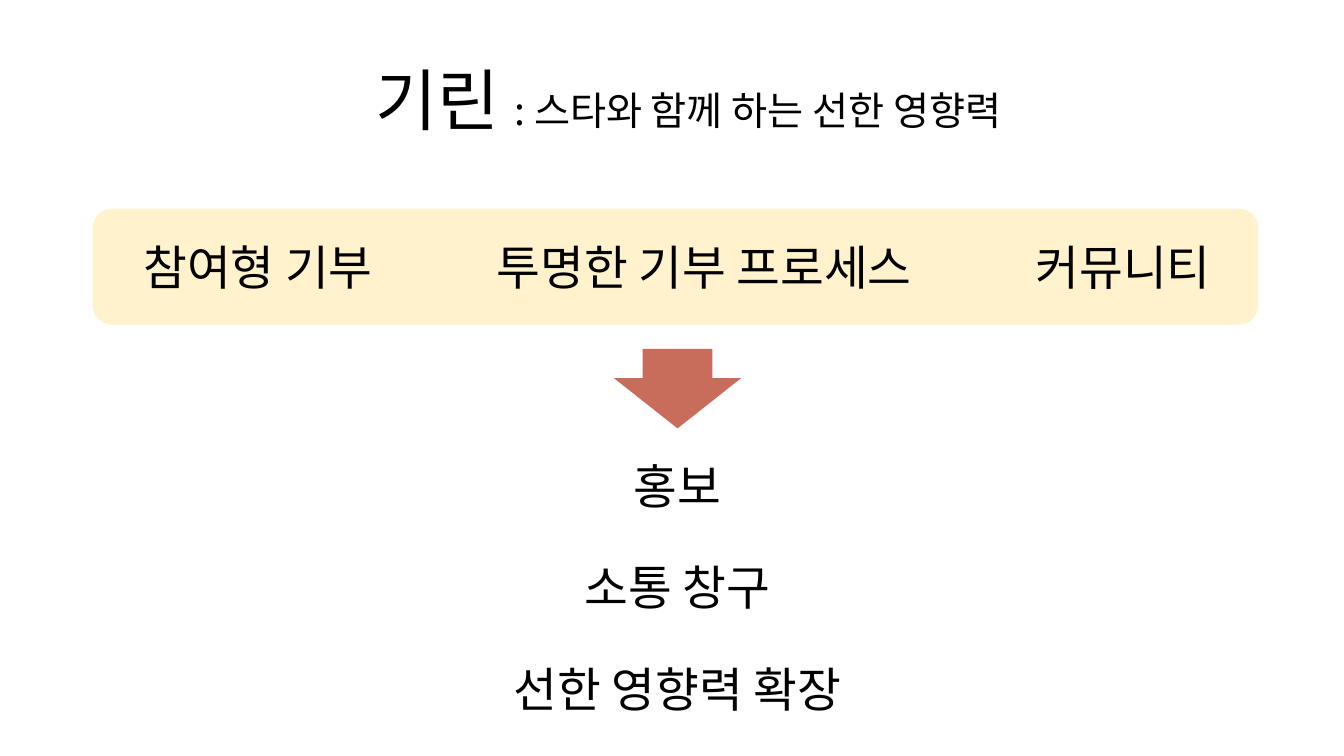
from lxml.etree import SubElement
from pptx import Presentation
from pptx.dml.color import RGBColor
from pptx.enum.shapes import MSO_SHAPE
from pptx.enum.text import MSO_ANCHOR, MSO_AUTO_SIZE, PP_ALIGN
from pptx.oxml.ns import qn
from pptx.util import Inches, Pt

FONT = "Noto Sans CJK KR"
COLORS = {"text": "000000", "band": "FFF2CC", "arrow": "C86D5C"}
TITLE = [("기린 ", 48), (": 스타와 함께 하는 선한 영향력", 28)]
# Text, left and width of each feature in the band
FEATURES = [
    ("참여형 기부", 1.23, 2.66),
    ("투명한 기부 프로세스", 4.65, 4.67),
    ("커뮤니티", 10.08, 2.12),
]
# Text and width of each effect below the arrow
EFFECTS = [("홍보", 1.12), ("소통 창구", 2.17), ("선한 영향력 확장", 3.68)]

BODY_SIZE = 34
LINE_HEIGHT = 0.67
BAND_LEFT, BAND_TOP, BAND_WIDTH, BAND_HEIGHT = 0.92, 2.07, 11.56, 1.15
CENTER = 6.72
EFFECT_TOP, EFFECT_PITCH = 4.48, 1.01


def write_centered(shape, spans, wrap=True):
    frame = shape.text_frame
    frame.word_wrap = wrap
    frame.auto_size = MSO_AUTO_SIZE.NONE
    frame.vertical_anchor = MSO_ANCHOR.TOP
    para = frame.paragraphs[0]
    para.alignment = PP_ALIGN.CENTER
    for text, size in spans:
        span = para.add_run()
        span.text = text
        span.font.size = Pt(size)
        span.font.name = FONT
        span.font.color.rgb = RGBColor.from_string(COLORS["text"])
        # Hangul takes its typeface from the East Asian font
        east_asian = SubElement(span.font._element, qn("a:ea"))
        east_asian.set("typeface", FONT)


def add_line(slide, text, left, top, width, wrap=True):
    box = slide.shapes.add_textbox(
        Inches(left), Inches(top), Inches(width), Inches(LINE_HEIGHT))
    write_centered(box, [(text, BODY_SIZE)], wrap)


def add_filled(slide, kind, left, top, width, height, color):
    shape = slide.shapes.add_shape(
        kind, Inches(left), Inches(top), Inches(width), Inches(height))
    shape.shadow.inherit = False
    shape.fill.solid()
    shape.fill.fore_color.rgb = RGBColor.from_string(COLORS[color])
    shape.line.fill.background()
    return shape


def main():
    deck = Presentation()
    deck.slide_width, deck.slide_height = Inches(13.33), Inches(7.5)
    slide = deck.slides.add_slide(deck.slide_layouts[5])

    title = slide.shapes.title
    title.left, title.top = Inches(3.28), Inches(0.53)
    title.width, title.height = Inches(7.1), Inches(0.91)
    write_centered(title, TITLE)

    add_filled(slide, MSO_SHAPE.ROUNDED_RECTANGLE,
               BAND_LEFT, BAND_TOP, BAND_WIDTH, BAND_HEIGHT, "band")
    feature_top = BAND_TOP + (BAND_HEIGHT - LINE_HEIGHT) / 2
    for text, left, width in FEATURES:
        add_line(slide, text, left, feature_top, width)

    arrow = add_filled(slide, MSO_SHAPE.DOWN_ARROW,
                       CENTER - 1.26 / 2, 3.46, 1.26, 0.79, "arrow")
    arrow.adjustments[0], arrow.adjustments[1] = 0.55, 0.63

    for row, (text, width) in enumerate(EFFECTS):
        add_line(slide, text, CENTER - width / 2,
                 EFFECT_TOP + row * EFFECT_PITCH, width, wrap=False)

    deck.save("out.pptx")


if __name__ == "__main__":
    main()
